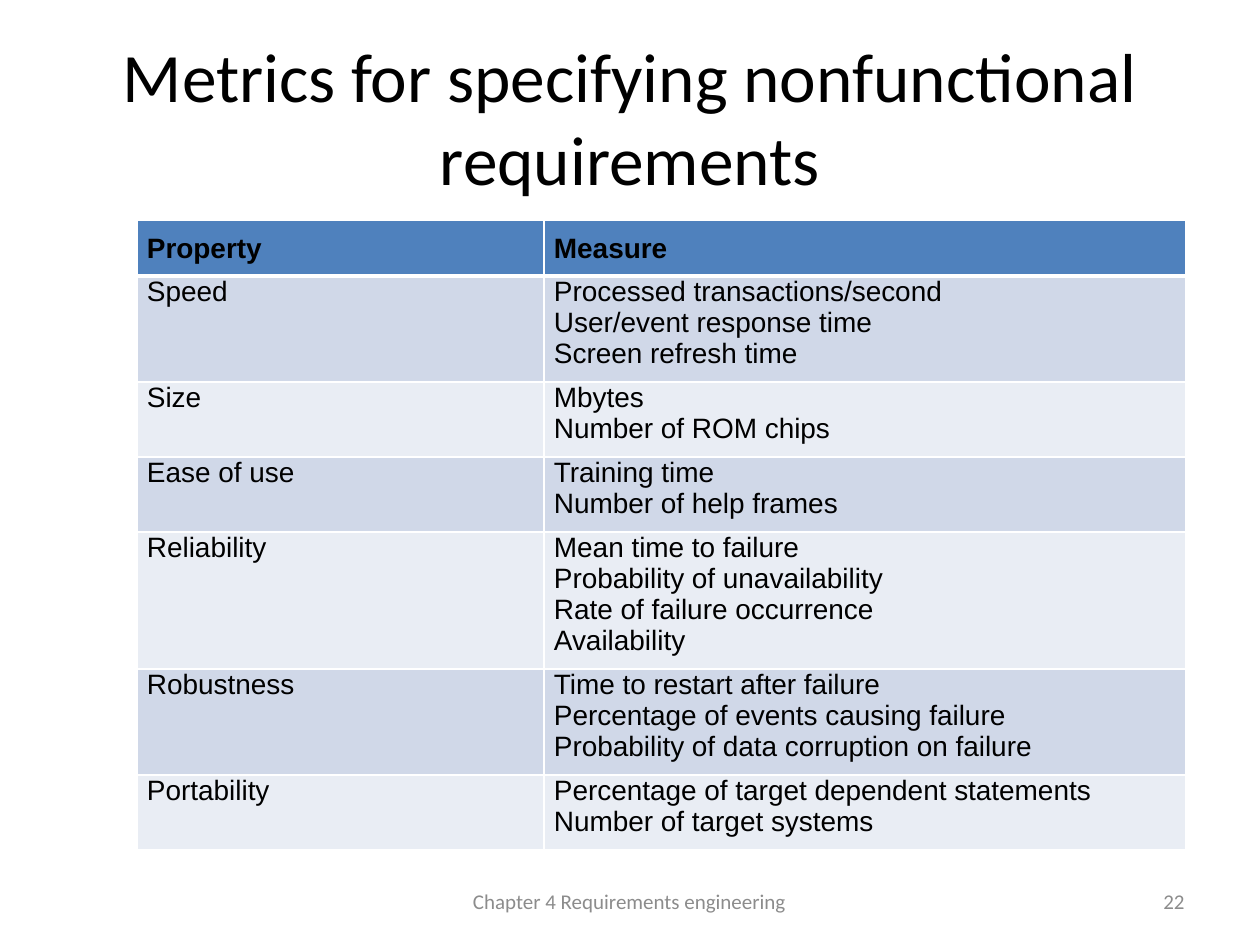
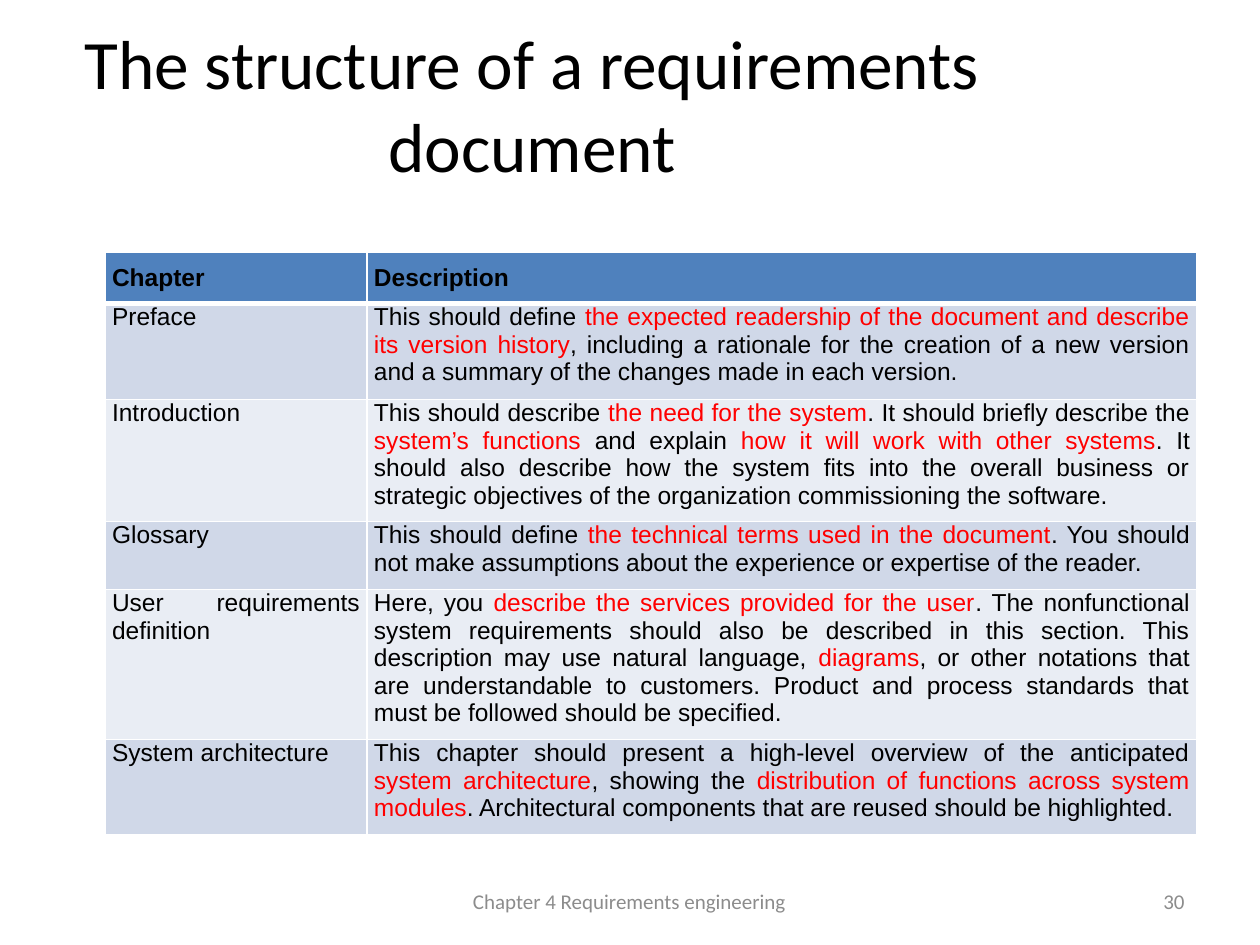
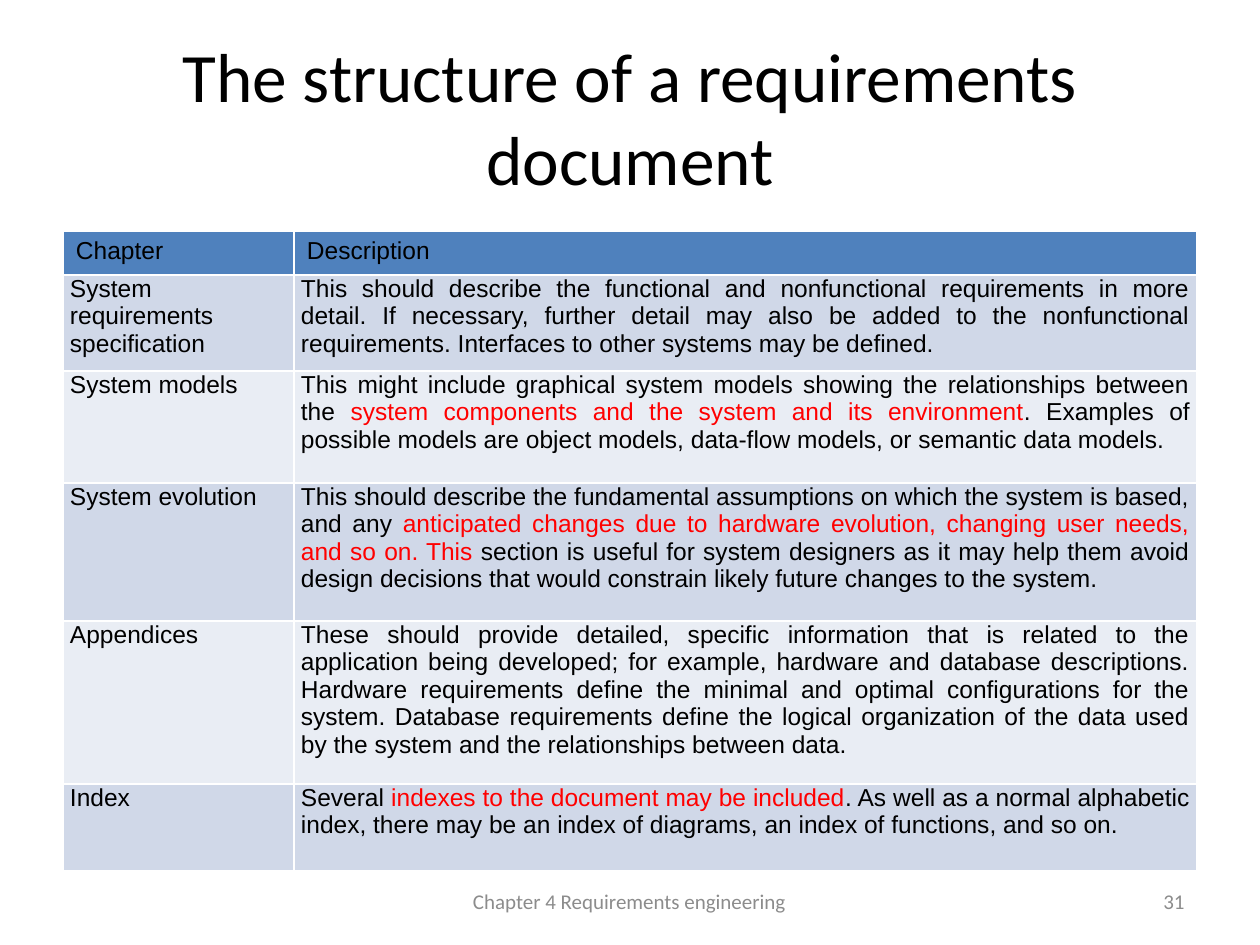
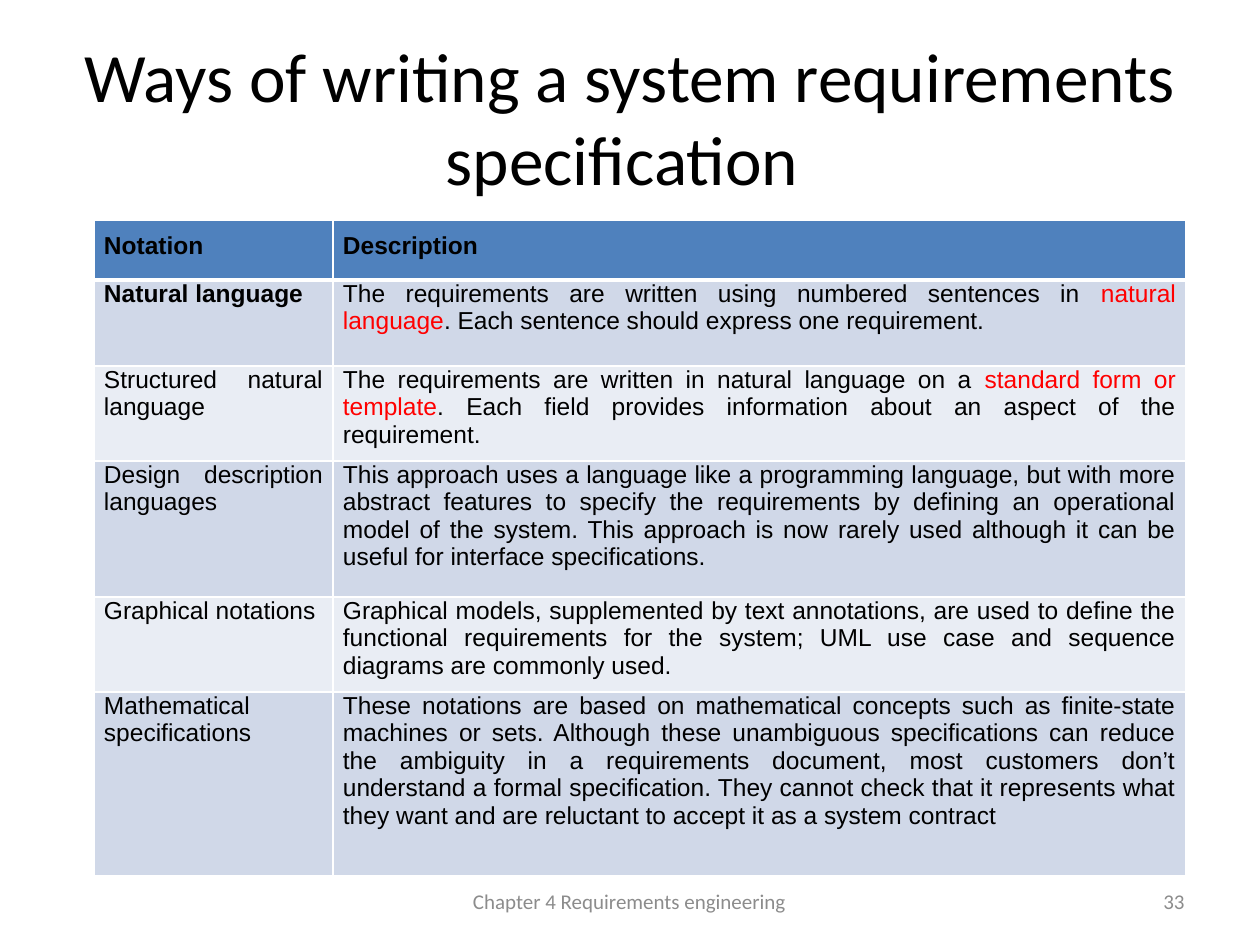
"""Build four requirements engineering slides, each a title, a two-column table and a footer."""
import dataclasses

import lxml.etree
import pptx
import pptx.dml.color
import pptx.enum.text
import pptx.oxml.ns
import pptx.util

PIXEL = 914400 // 126
ALIGN = pptx.enum.text.PP_ALIGN
MIDDLE = pptx.enum.text.MSO_ANCHOR.MIDDLE


@dataclasses.dataclass(frozen=True)
class Theme:
    ink: str = "000000"
    accent: str = "FF0000"
    muted: str = "8C8C8C"
    header: str = "4F81BD"
    bands: tuple = ("D0D8E8", "E9EDF4")
    rule: str = "FFFFFF"
    heading_font: str = "Calibri"
    table_font: str = "Arial"
    title_size: float = 39.6
    footer_size: float = 12
    thin: float = 1
    thick: float = 3


THEME = Theme()


def write(frame, text, font=THEME.heading_font, size=THEME.footer_size, color=THEME.ink,
          bold=False, align=ALIGN.CENTER, anchor=None):
    """Fill a text frame; newlines part paragraphs and asterisks enclose accented words."""
    frame.word_wrap = True
    if anchor is not None:
        frame.vertical_anchor = anchor
    for number, line in enumerate(text.split("\n")):
        paragraph = frame.paragraphs[0] if number == 0 else frame.add_paragraph()
        paragraph.alignment = align
        for position, words in enumerate(line.split("*")):
            if words:
                run = paragraph.add_run()
                run.text = words
                run.font.name = font
                run.font.size = pptx.util.Pt(size)
                run.font.bold = bold
                shade = THEME.accent if position % 2 else color
                run.font.color.rgb = pptx.dml.color.RGBColor.from_string(shade)


def draw_borders(cell, top, bottom):
    """Rule the four sides of a table cell, with the top and bottom widths in points."""
    properties = cell._tc.get_or_add_tcPr()
    for side, width in (("L", THEME.thin), ("R", THEME.thin), ("T", top), ("B", bottom)):
        line = lxml.etree.SubElement(properties, pptx.oxml.ns.qn("a:ln" + side),
                                     w=str(pptx.util.Pt(width)))
        fill = lxml.etree.SubElement(line, pptx.oxml.ns.qn("a:solidFill"))
        lxml.etree.SubElement(fill, pptx.oxml.ns.qn("a:srgbClr"), val=THEME.rule)


FOOTER = "Chapter 4 Requirements engineering"
TITLE_BOX = (63, 38, 1134, 157)
FOOTER_BOX = (430, 876, 399, 50)
NUMBER_BOX = (903, 876, 294, 50)
CELL_BOTTOM = 12

SLIDES = [
    dict(
        number=22, title="Metrics for specifying nonfunctional requirements", title_box=TITLE_BOX,
        origin=(137, 220), columns=(407, 642), heights=(55, 106, 75, 75, 137, 106, 75),
        size=16, inset=10, header_insets=(10, 13), header_rule=THEME.thick,
        bold=("Property", "Measure"),
        rows=[
            ("Property", "Measure"),
            ("Speed", "Processed transactions/second\nUser/event response time\nScreen refresh time"),
            ("Size", "Mbytes\nNumber of ROM chips"),
            ("Ease of use", "Training time\nNumber of help frames"),
            ("Reliability", "Mean time to failure\nProbability of unavailability\n"
                            "Rate of failure occurrence\nAvailability"),
            ("Robustness", "Time to restart after failure\nPercentage of events causing failure\n"
                           "Probability of data corruption on failure"),
            ("Portability", "Percentage of target dependent statements\nNumber of target systems"),
        ]),
    dict(
        number=30, title="The structure of a requirements document", title_box=(24, 28, 1016, 150),
        origin=(105, 252), columns=(262, 830), heights=(51, 96, 122, 68, 150, 95),
        size=14, inset=7, header_insets=(7, 12), header_rule=THEME.thick,
        bold=("Chapter", "Description"),
        rows=[
            ("Chapter", "Description"),
            ("Preface", "This should define *the expected readership of the document and describe its "
                        "version history*, including a rationale for the creation of a new version "
                        "and a summary of the changes made in each version."),
            ("Introduction", "This should describe *the need for the system*. It should briefly describe "
                             "the *system’s functions *and explain *how it will work with other systems*. "
                             "It should also describe how the system fits into the overall business or "
                             "strategic objectives of the organization commissioning the software."),
            ("Glossary", "This should define *the technical terms used in the document*. You should not "
                         "make assumptions about the experience or expertise of the reader."),
            ("User requirements definition",
             "Here, you *describe the services provided for the user*. The nonfunctional system "
             "requirements should also be described in this section. This description may use natural "
             "language, *diagrams*, or other notations that are understandable to customers. Product "
             "and process standards that must be followed should be specified."),
            ("System architecture",
             "This chapter should present a high-level overview of the anticipated *system "
             "architecture*, showing the *distribution of functions across system modules*. "
             "Architectural components that are reused should be highlighted."),
        ]),
    dict(
        number=31, title="The structure of a requirements document", title_box=TITLE_BOX,
        origin=(63, 231), columns=(231, 903), heights=(44, 96, 112, 138, 163, 87),
        size=14, inset=7, header_insets=(13, 6), header_rule=THEME.thin, bold=(),
        rows=[
            ("Chapter", "Description"),
            ("System requirements specification",
             "This should describe the functional and nonfunctional requirements in more detail. If "
             "necessary, further detail may also be added to the nonfunctional requirements. "
             "Interfaces to other systems may be defined."),
            ("System models",
             "This might include graphical system models showing the relationships between the "
             "*system components and the system and its environment*. Examples of possible models "
             "are object models, data-flow models, or semantic data models."),
            ("System evolution",
             "This should describe the fundamental assumptions on which the system is based, and any "
             "*anticipated changes due to hardware evolution, changing user needs, and so on. This "
             "*section is useful for system designers as it may help them avoid design decisions that "
             "would constrain likely future changes to the system."),
            ("Appendices",
             "These should provide detailed, specific information that is related to the application "
             "being developed; for example, hardware and database descriptions. Hardware requirements "
             "define the minimal and optimal configurations for the system. Database requirements "
             "define the logical organization of the data used by the system and the relationships "
             "between data."),
            ("Index", "Several *indexes to the document may be included*. As well as a normal alphabetic "
                      "index, there may be an index of diagrams, an index of functions, and so on."),
        ]),
    dict(
        number=33, title="Ways of writing a system requirements specification ", title_box=TITLE_BOX,
        origin=(94, 220), columns=(239, 853), heights=(60, 86, 95, 136, 95, 184),
        size=14, inset=10, header_insets=(10, 12), header_rule=THEME.thick,
        bold=("Notation", "Description", "Natural language"),
        rows=[
            ("Notation", "Description"),
            ("Natural language",
             "The requirements are written using numbered sentences in *natural language*. Each "
             "sentence should express one requirement."),
            ("Structured natural language",
             "The requirements are written in natural language on a *standard form or template*. Each "
             "field provides information about an aspect of the requirement."),
            ("Design description languages",
             "This approach uses a language like a programming language, but with more abstract "
             "features to specify the requirements by defining an operational model of the system. "
             "This approach is now rarely used although it can be useful for interface specifications."),
            ("Graphical notations",
             "Graphical models, supplemented by text annotations, are used to define the functional "
             "requirements for the system; UML use case and sequence diagrams are commonly used."),
            ("Mathematical specifications",
             "These notations are based on mathematical concepts such as finite-state machines or "
             "sets. Although these unambiguous specifications can reduce the ambiguity in a "
             "requirements document, most customers don’t understand a formal specification. They "
             "cannot check that it represents what they want and are reluctant to accept it as a "
             "system contract"),
        ]),
]

deck = pptx.Presentation()
deck.slide_width, deck.slide_height = 1260 * PIXEL, 945 * PIXEL

for content in SLIDES:
    slide = deck.slides.add_slide(deck.slide_layouts[5])

    title = slide.shapes.title
    title.left, title.top, title.width, title.height = [value * PIXEL for value in content["title_box"]]
    title.text_frame.auto_size = pptx.enum.text.MSO_AUTO_SIZE.NONE
    write(title.text_frame, content["title"], size=THEME.title_size, anchor=MIDDLE)

    left, top = content["origin"]
    columns, heights, rows = content["columns"], content["heights"], content["rows"]
    table = slide.shapes.add_table(len(rows), len(columns), left * PIXEL, top * PIXEL,
                                   sum(columns) * PIXEL, sum(heights) * PIXEL).table
    for column, width in zip(table.columns, columns):
        column.width = width * PIXEL
    for index, (row, height, texts) in enumerate(zip(table.rows, heights, rows)):
        row.height = height * PIXEL
        is_header = index == 0
        side, above = content["header_insets"] if is_header else (content["inset"], 0)
        below = min(above, CELL_BOTTOM) if is_header else CELL_BOTTOM
        shade = THEME.header if is_header else THEME.bands[(index - 1) % 2]
        for cell, text in zip(row.cells, texts):
            cell.margin_left = cell.margin_right = side * PIXEL
            cell.margin_top, cell.margin_bottom = above * PIXEL, below * PIXEL
            draw_borders(cell, content["header_rule"] if index == 1 else THEME.thin,
                         content["header_rule"] if is_header else THEME.thin)
            cell.fill.solid()
            cell.fill.fore_color.rgb = pptx.dml.color.RGBColor.from_string(shade)
            write(cell.text_frame, text, font=THEME.table_font, size=content["size"],
                  bold=text in content["bold"], align=ALIGN.JUSTIFY)

    for text, box, align in ((str(content["number"]), NUMBER_BOX, ALIGN.RIGHT),
                             (FOOTER, FOOTER_BOX, ALIGN.CENTER)):
        footer = slide.shapes.add_textbox(*[value * PIXEL for value in box])
        write(footer.text_frame, text, color=THEME.muted, align=align, anchor=MIDDLE)

deck.save("out.pptx")
